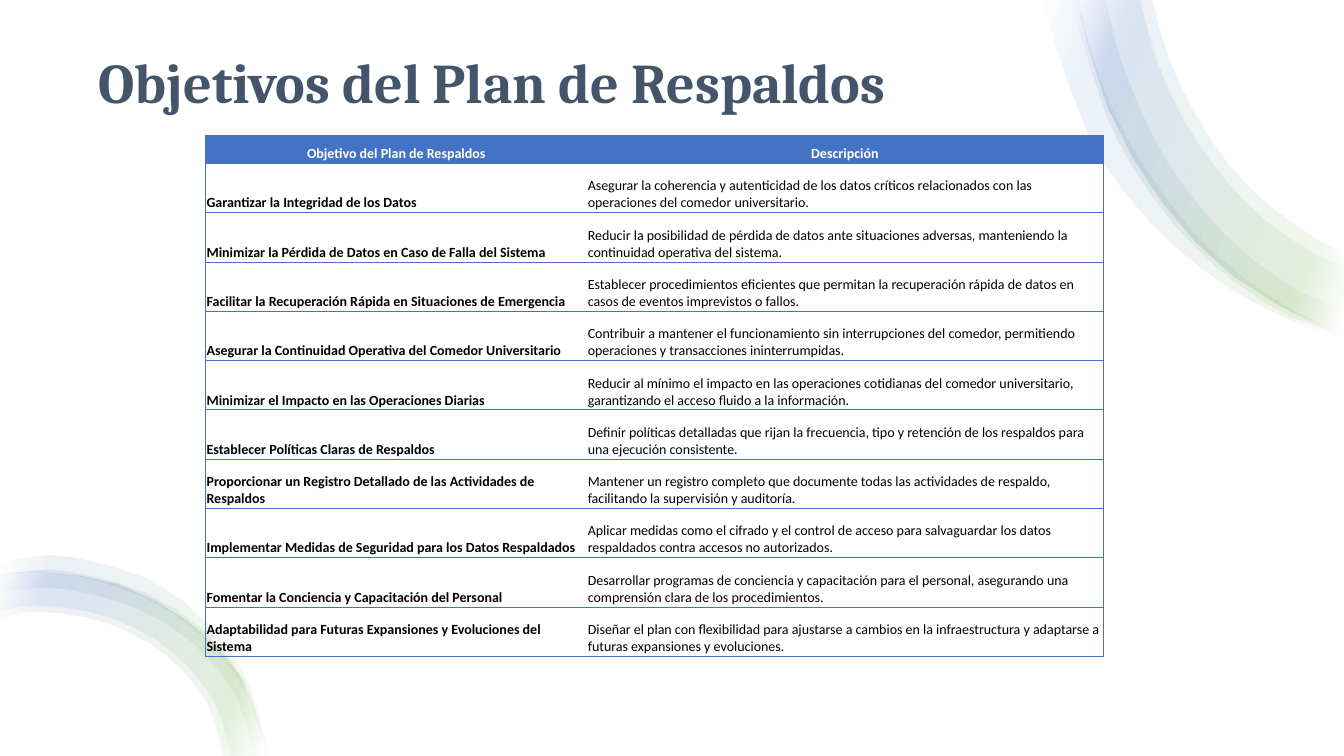
from dataclasses import dataclass

from lxml import etree
from pptx import Presentation
from pptx import util as u
from pptx.dml.color import RGBColor
from pptx.enum import text
from pptx.oxml import ns

Point = tuple[float, float]
Edge = tuple[Point, ...]


@dataclass(frozen=True)
class Theme:
    accent: str = "4472C4"
    green: str = "70AD47"
    title: str = "44546A"
    white: str = "FFFFFF"
    black: str = "000000"
    title_font: str = "Cambria"
    body_font: str = "Calibri"
    title_size: float = 40
    body_size: float = 10
    border_width: float = 0.5
    band_opacity: int = 10


@dataclass(frozen=True)
class Band:
    """A curved ribbon between two edges, in inches."""
    outer: Edge
    inner: Edge


@dataclass(frozen=True)
class Objective:
    name: str
    description: str


THEME = Theme()
SLIDE_WIDTH, SLIDE_HEIGHT = u.Inches(13.33), u.Inches(7.5)
GRID_COLUMNS, GRID_ROWS = 100, 75
EDGE_SEGMENTS = 14

# Decorative ribbons: top right, then bottom left
TOP_EDGE: Edge = ((13.33, 3.32), (13.09, 3.24), (12.23, 2.74), (11.52, 2.0),
                  (10.99, 1.07), (10.69, 0.04), (10.67, -0.09))
BOTTOM_EDGE: Edge = ((2.63, 7.5), (2.62, 7.35), (2.36, 6.69), (1.85, 6.16),
                     (1.17, 5.8), (0.4, 5.67), (0, 5.72))
BANDS = (
    Band(((13.33, 3.35), (12.82, 3.19), (12.21, 2.87), (11.65, 2.45),
          (11.16, 1.92), (10.78, 1.31), (10.41, 0.26), (10.36, -0.09)),
         ((10.68, -0.09), (10.82, 0.52), (11.06, 1.15), (11.4, 1.73), (11.81, 2.27),
          (12.3, 2.73), (12.86, 3.1), (13.33, 3.28))),
    Band(TOP_EDGE,
         ((11.41, -0.09), (11.58, 0.55), (11.85, 1.12), (12.19, 1.64), (12.61, 2.06),
          (13.07, 2.38), (13.33, 2.51))),
    Band(((13.33, 3.33), (12.79, 3.14), (12.23, 2.79), (11.73, 2.33),
          (11.32, 1.79), (10.99, 1.19), (10.68, 0.2), (10.63, -0.09)),
         ((10.96, -0.09), (11.07, 0.44), (11.29, 1.04), (11.58, 1.61), (11.95, 2.11),
          (12.39, 2.55), (12.9, 2.9), (13.33, 3.08))),
    Band(TOP_EDGE,
         ((11.29, -0.09), (11.47, 0.59), (11.74, 1.19), (12.1, 1.72), (12.53, 2.17),
          (13.01, 2.5), (13.33, 2.64))),
    Band(BOTTOM_EDGE,
         ((0, 6.13), (0.4, 6.07), (1.07, 6.19), (1.66, 6.52), (2.06, 7), (2.2, 7.5))),
    Band(BOTTOM_EDGE,
         ((0, 6.06), (0.4, 6.01), (1.09, 6.13), (1.7, 6.47), (2.12, 6.97), (2.28, 7.5))),
    Band(((2.63, 7.5), (2.47, 6.85), (2.03, 6.27), (1.42, 5.87), (0.69, 5.67),
          (0.31, 5.66), (0, 5.71)),
         ((0, 5.88), (0.33, 5.84), (0.67, 5.85), (1.34, 6.03), (1.92, 6.39),
          (2.34, 6.91), (2.51, 7.5))),
    Band(((2.64, 7.5), (2.5, 6.87), (2.1, 6.23), (1.48, 5.75), (0.71, 5.53),
          (0.31, 5.53), (0, 5.59)),
         ((0, 5.72), (0.32, 5.68), (0.69, 5.7), (1.39, 5.91), (2, 6.31),
          (2.45, 6.89), (2.62, 7.5))),
)

# Table content
TITLE = "Objetivos del Plan de Respaldos"
HEADER = Objective("Objetivo del Plan de Respaldos", "Descripción")
OBJECTIVES = (
    Objective("Garantizar la Integridad de los Datos",
              "Asegurar la coherencia y autenticidad de los datos críticos relacionados con las operaciones del comedor universitario."),
    Objective("Minimizar la Pérdida de Datos en Caso de Falla del Sistema",
              "Reducir la posibilidad de pérdida de datos ante situaciones adversas, manteniendo la continuidad operativa del sistema."),
    Objective("Facilitar la Recuperación Rápida en Situaciones de Emergencia",
              "Establecer procedimientos eficientes que permitan la recuperación rápida de datos en casos de eventos imprevistos o fallos."),
    Objective("Asegurar la Continuidad Operativa del Comedor Universitario",
              "Contribuir a mantener el funcionamiento sin interrupciones del comedor, permitiendo operaciones y transacciones ininterrumpidas."),
    Objective("Minimizar el Impacto en las Operaciones Diarias",
              "Reducir al mínimo el impacto en las operaciones cotidianas del comedor universitario, garantizando el acceso fluido a la información."),
    Objective("Establecer Políticas Claras de Respaldos",
              "Definir políticas detalladas que rijan la frecuencia, tipo y retención de los respaldos para una ejecución consistente."),
    Objective("Proporcionar un Registro Detallado de las Actividades de Respaldos",
              "Mantener un registro completo que documente todas las actividades de respaldo, facilitando la supervisión y auditoría."),
    Objective("Implementar Medidas de Seguridad para los Datos Respaldados",
              "Aplicar medidas como el cifrado y el control de acceso para salvaguardar los datos respaldados contra accesos no autorizados."),
    Objective("Fomentar la Conciencia y Capacitación del Personal",
              "Desarrollar programas de conciencia y capacitación para el personal, asegurando una comprensión clara de los procedimientos."),
    Objective("Adaptabilidad para Futuras Expansiones y Evoluciones del Sistema",
              "Diseñar el plan con flexibilidad para ajustarse a cambios en la infraestructura y adaptarse a futuras expansiones y evoluciones."),
)


def across(columns: float) -> int:
    return round(SLIDE_WIDTH * columns / GRID_COLUMNS)


def down(rows: float) -> int:
    return round(SLIDE_HEIGHT * rows / GRID_ROWS)


def add_run(paragraph, words: str, font_name: str, size: float, color: str, bold: bool) -> None:
    run = paragraph.add_run()
    run.text = words
    run.font.name, run.font.size, run.font.bold = font_name, u.Pt(size), bold
    run.font.color.rgb = RGBColor.from_string(color)


def add_color(parent, color: str):
    return etree.SubElement(parent, ns.qn("a:srgbClr"), val=color)


def smooth_edge(edge: Edge) -> list[tuple[int, int]]:
    """Sample a Catmull-Rom curve through the points of an edge."""
    steps = round(EDGE_SEGMENTS / (len(edge) - 1))
    padded = (edge[0], *edge, edge[-1])
    points = [edge[0]]
    for a, b, c, d in zip(padded, padded[1:], padded[2:], padded[3:]):
        for step in range(1, steps + 1):
            t = step / steps
            points.append(tuple(
                (2 * q + (r - p) * t + (2 * p - 5 * q + 4 * r - s) * t ** 2
                 + (3 * q - p - 3 * r + s) * t ** 3) / 2
                for p, q, r, s in zip(a, b, c, d)))
    return [(u.Inches(x), u.Inches(y)) for x, y in points]


def add_band(slide, band: Band) -> None:
    start, *others = smooth_edge(band.outer) + smooth_edge(band.inner)
    builder = slide.shapes.build_freeform(*start)
    builder.add_line_segments(others, close=True)
    shape = builder.convert_to_shape()
    shape.shadow.inherit = False
    shape.line.fill.background()
    shape.fill.gradient()
    shape.fill.gradient_angle = 160
    stops = shape.element.spPr.find(ns.qn("a:gradFill")).find(ns.qn("a:gsLst"))
    for stop in list(stops):
        stops.remove(stop)
    for position, color in ((2, THEME.white), (16, THEME.green),
                            (85, THEME.accent), (100, THEME.white)):
        stop = etree.SubElement(stops, ns.qn("a:gs"), pos=str(position * 1000))
        etree.SubElement(add_color(stop, color), ns.qn("a:alpha"),
                         val=str(THEME.band_opacity * 1000))


def set_borders(cell, inner_side: str) -> None:
    properties = cell._tc.get_or_add_tcPr()
    for side in ("lnL", "lnR", "lnT", "lnB"):
        line = etree.SubElement(properties, ns.qn(f"a:{side}"),
                                w=str(u.Pt(THEME.border_width)))
        if side == inner_side:
            etree.SubElement(line, ns.qn("a:noFill"))
        else:
            add_color(etree.SubElement(line, ns.qn("a:solidFill")), THEME.accent)


def fill_cell(cell, words: str, is_header: bool, is_name: bool) -> None:
    set_borders(cell, "lnR" if is_name else "lnL")
    cell.margin_left = cell.margin_right = cell.margin_top = cell.margin_bottom = u.Inches(0.01)
    cell.vertical_anchor = text.MSO_ANCHOR.BOTTOM
    if is_header:
        cell.fill.solid()
        cell.fill.fore_color.rgb = RGBColor.from_string(THEME.accent)
    else:
        cell.fill.background()
    paragraph = cell.text_frame.paragraphs[0]
    paragraph.alignment = text.PP_ALIGN.CENTER if is_header else text.PP_ALIGN.LEFT
    add_run(paragraph, words, THEME.body_font, THEME.body_size,
            THEME.white if is_header else THEME.black, is_header or is_name)


def add_title(slide) -> None:
    title = slide.shapes.title
    title.left, title.top, title.width, title.height = across(6.6), down(5), across(86.8), down(13)
    title.text_frame.vertical_anchor = text.MSO_ANCHOR.TOP
    paragraph = title.text_frame.paragraphs[0]
    paragraph.alignment, paragraph.line_spacing = text.PP_ALIGN.LEFT, 0.9
    add_run(paragraph, TITLE, THEME.title_font, THEME.title_size, THEME.title, True)


def add_objectives_table(slide) -> None:
    widths = (across(28.36), across(38.41))
    heights = (down(2.8), *[down(4.89)] * len(OBJECTIVES))
    table = slide.shapes.add_table(len(heights), len(widths), across(15.3), down(13.4),
                                   sum(widths), sum(heights)).table
    table.horz_banding = False
    for column, width in zip(table.columns, widths):
        column.width = width
    for index, (row, height, objective) in enumerate(
            zip(table.rows, heights, (HEADER, *OBJECTIVES))):
        row.height = height
        fill_cell(row.cells[0], objective.name, index == 0, True)
        fill_cell(row.cells[1], objective.description, index == 0, False)


def main() -> None:
    presentation = Presentation()
    presentation.slide_width, presentation.slide_height = SLIDE_WIDTH, SLIDE_HEIGHT
    slide = presentation.slides.add_slide(presentation.slide_layouts[5])
    slide.background.fill.solid()
    slide.background.fill.fore_color.rgb = RGBColor.from_string(THEME.white)
    add_title(slide)
    for band in BANDS:
        add_band(slide, band)
    add_objectives_table(slide)
    presentation.save("out.pptx")


if __name__ == "__main__":
    main()
